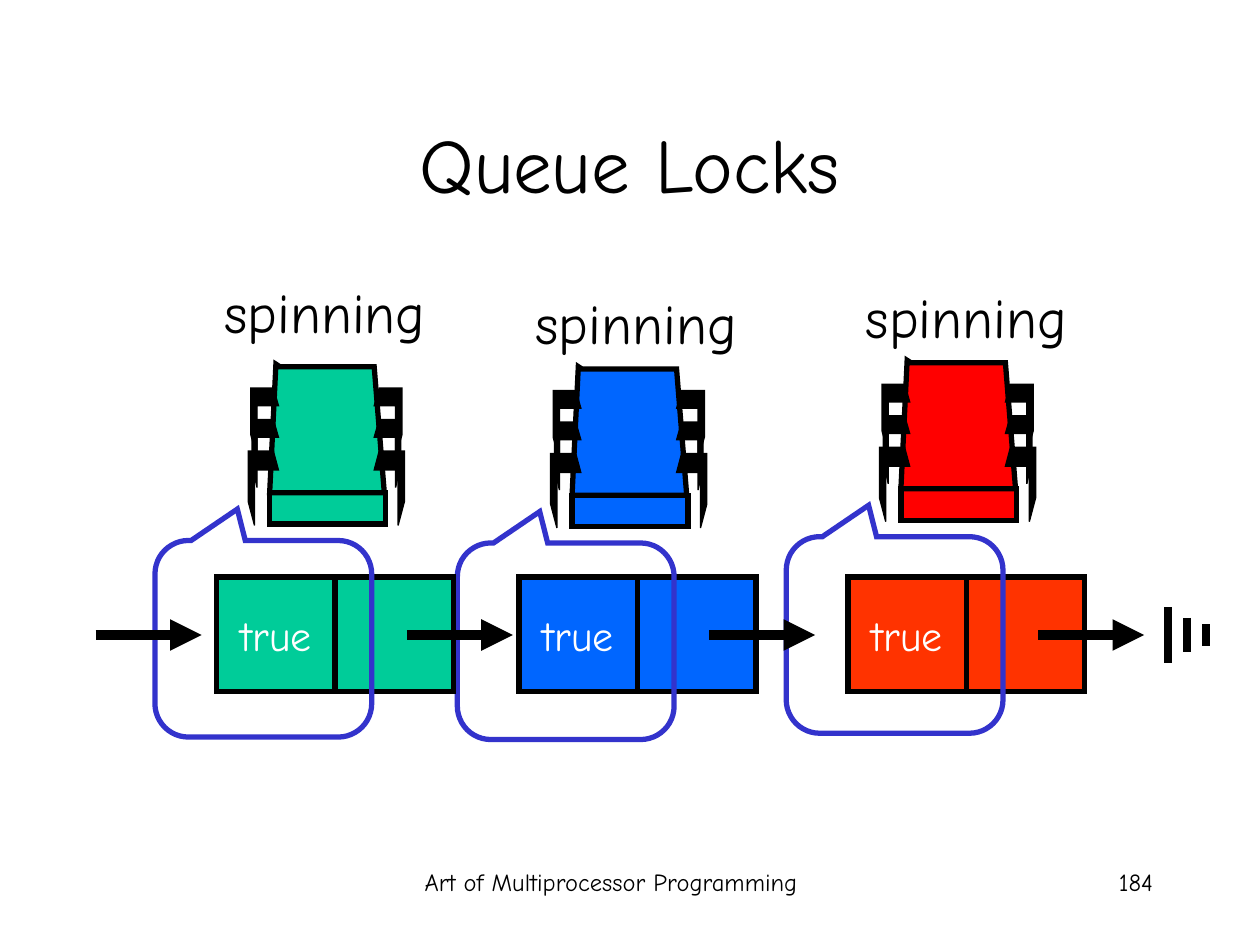
from dataclasses import dataclass

from lxml.etree import SubElement
from pptx import Presentation
from pptx.dml.color import RGBColor
from pptx.enum.shapes import MSO_CONNECTOR as Connector, MSO_SHAPE as Shape
from pptx.enum.text import MSO_ANCHOR as Anchor, PP_ALIGN as Align
from pptx.oxml.ns import qn
from pptx.util import Inches, Pt


@dataclass(frozen=True)
class Theme:
    font: str = "Comic Neue"
    black: str = "000000"
    white: str = "FFFFFF"
    callout: str = "3333CC"
    title: int = 44
    label: int = 32
    value: int = 24
    footer: int = 14
    outline: float = 3
    leg_line: float = 0.75
    arrow: float = 6
    ground: float = 4.5


THEME = Theme()

# Content: one entry per waiting thread, back to front
TITLE = "Queue Locks"
FOOTER = "Art of Multiprocessor Programming"
NUMBER = "184"
THREADS = [
    dict(state="spinning", value="true", chip="FF0000", node="FF3300",
         left=6.73, chip_top=2.86, label=(6.77, 2.19)),
    dict(state="spinning", value="true", chip="0066FF", node="0066FF",
         left=4.12, chip_top=2.91, label=(4.15, 2.24)),
    dict(state="spinning", value="true", chip="00CC99", node="00CC99",
         left=1.72, chip_top=2.89, label=(1.68, 2.15)),
]
GROUND = [(9.27, 0.44), (9.42, 0.27), (9.57, 0.17)]  # x, height

# Geometry in inches; chip outlines are relative to the chip's top left
CELL_W, CELL_H, CELL_TOP = 0.94, 0.91, 4.58
ARROW_Y, ARROW_LENGTH = 5.04, 0.84
CHIP_W, FRONT_TOP, FRONT_H = 0.92, 1.02, 0.25
CHIP_TOP = [(0.08, 0.02), (0.83, 0.02), (0.91, 1.02), (0, 1.02), (0.05, 0)]
LEG_IN, LEG_START, LEG_AXIS = 0.83, 0.87, 0.45
LEGS = [  # outer x, inner x, then y of top, underside, outer corner, tip
    (1.07, 1.02, 0.69, 0.84, 1.09, 1.28),
    (1.04, 1.00, 0.44, 0.58, 0.80, 0.98),
    (1.05, 1.00, 0.19, 0.33, 0.56, 0.74),
]


def color(value):
    return RGBColor.from_string(value)


def paint(shape, fill, line, width):
    shape.shadow.inherit = False
    if fill:
        shape.fill.solid()
        shape.fill.fore_color.rgb = color(fill)
    else:
        shape.fill.background()
    shape.line.color.rgb = color(line)
    shape.line.width = Pt(width)
    SubElement(shape.line._get_or_add_ln(), qn("a:miter"), lim="800000")


def write(shape, text, size, ink, align=Align.CENTER, anchor=Anchor.TOP, wrap=True):
    frame = shape.text_frame
    frame.word_wrap = wrap
    frame.vertical_anchor = anchor
    para = frame.paragraphs[0]
    para.alignment = align
    span = para.add_run()
    span.text = text
    span.font.name = THEME.font
    span.font.size = Pt(size)
    span.font.color.rgb = color(ink)


def add_text(page, place, text, size, **style):
    box = page.shapes.add_textbox(*map(Inches, place))
    write(box, text, size, THEME.black, **style)


def add_box(shapes, kind, place, fill, line=THEME.black):
    box = shapes.add_shape(kind, *map(Inches, place))
    paint(box, fill, line, THEME.outline)
    return box


def add_outline(shapes, points, left, top, fill, width):
    placed = [(Inches(left + x), Inches(top + y)) for x, y in points]
    builder = shapes.build_freeform(*placed[0])
    builder.add_line_segments(placed[1:], close=True)
    paint(builder.convert_to_shape(), fill, THEME.black, width)


def add_line(shapes, start, end, width, arrow=False):
    line = shapes.add_connector(Connector.STRAIGHT, *map(Inches, start + end))
    line.line.color.rgb = color(THEME.black)
    line.line.width = Pt(width)
    if arrow:
        SubElement(line.line._get_or_add_ln(), qn("a:tailEnd"), type="triangle")
    SubElement(line._element.spPr, qn("a:effectLst"))


def add_arrow(page, x):
    add_line(page.shapes, (x, ARROW_Y), (x + ARROW_LENGTH, ARROW_Y), THEME.arrow, True)


def add_chip(page, left, top, fill):
    parts = page.shapes.add_group_shape().shapes
    add_box(parts, Shape.RECTANGLE, (left, top + FRONT_TOP, CHIP_W, FRONT_H), fill)
    add_outline(parts, CHIP_TOP, left, top, fill, THEME.outline)
    for mirrored in (False, True):
        for outer, inner, start, under, corner, tip in LEGS:
            points = [(LEG_START, start), (outer, start), (outer, corner),
                      (inner, tip), (inner, under), (LEG_IN, under)]
            if mirrored:
                points = [(2 * LEG_AXIS - x, y) for x, y in points]
            add_outline(parts, points, left, top, THEME.black, THEME.leg_line)


def add_thread(page, thread):
    left, top = thread["left"], thread["chip_top"]
    add_chip(page, left + 0.42, top, thread["chip"])
    add_text(page, (*thread["label"], 1.8, 0.64), thread["state"], THEME.label, wrap=False)

    # Queue node: value cell, link cell and arrow to the next node
    value, _ = [
        add_box(page.shapes, Shape.RECTANGLE,
                (left + i * CELL_W, CELL_TOP, CELL_W, CELL_H), thread["node"])
        for i in range(2)
    ]
    write(value, thread["value"], THEME.value, THEME.white, anchor=Anchor.MIDDLE, wrap=False)
    add_arrow(page, left + 1.51)

    # Callout from the chip around the value it watches
    callout = add_box(page.shapes, Shape.ROUNDED_RECTANGULAR_CALLOUT,
                      (left - 0.49, top + 1.4, 1.72, 1.56), None, THEME.callout)
    for i, ratio in enumerate((-0.12, -0.66, 0.17)):
        callout.adjustments[i] = ratio


def main():
    deck = Presentation()
    deck.slide_width, deck.slide_height = Inches(10), Inches(7.5)
    page = deck.slides.add_slide(deck.slide_layouts[5])

    # Title and footer
    title = page.shapes.title
    title.left, title.top, title.width, title.height = map(Inches, (0.75, 0.67, 8.5, 1.25))
    write(title, TITLE, THEME.title, THEME.black, anchor=Anchor.MIDDLE)
    add_text(page, (2.89, 6.83, 3.92, 0.5), FOOTER, THEME.footer)
    add_text(page, (7.17, 6.83, 2.08, 0.5), NUMBER, THEME.footer, align=Align.RIGHT)

    # Ground symbol at the end of the queue
    ground = page.shapes.add_group_shape().shapes
    for x, height in GROUND:
        add_line(ground, (x, ARROW_Y - height / 2), (x, ARROW_Y + height / 2), THEME.ground)

    # Waiting threads and the arrow into the queue
    for thread in THREADS:
        add_thread(page, thread)
    add_arrow(page, 0.76)
    deck.save("out.pptx")


if __name__ == "__main__":
    main()
